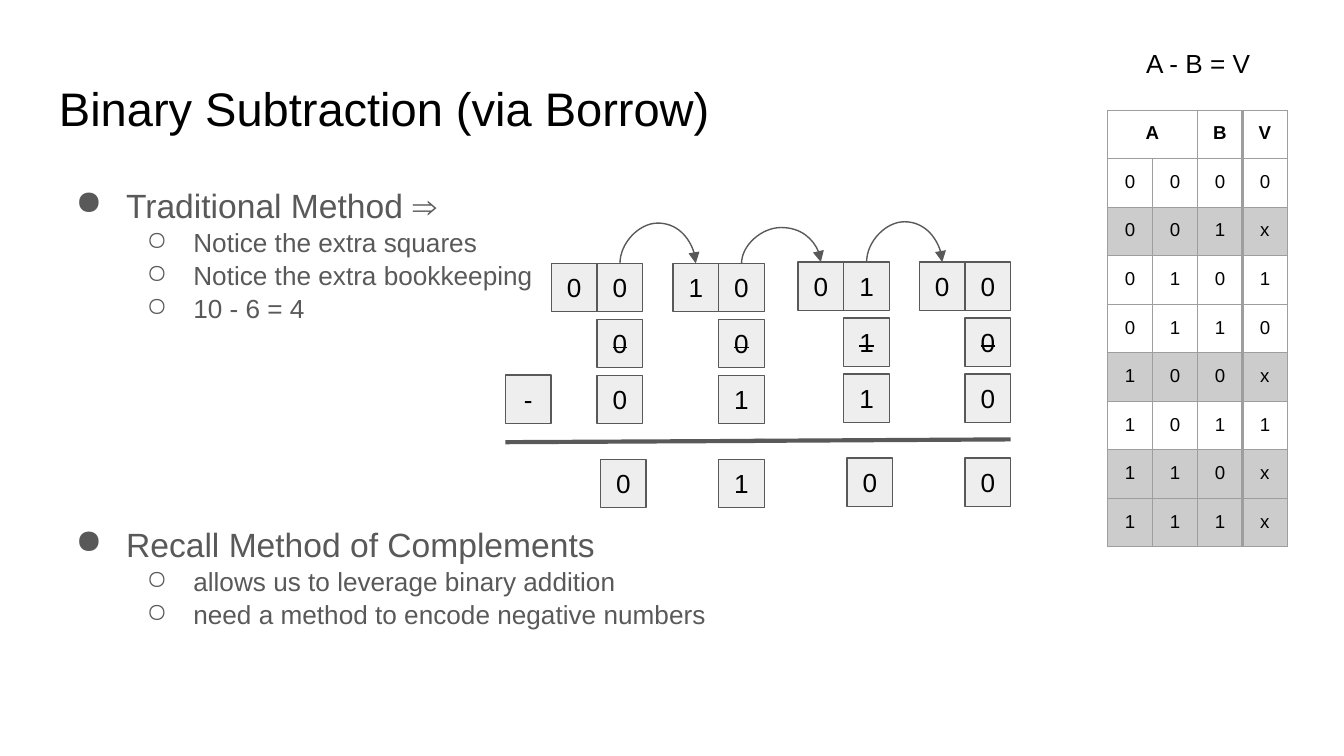
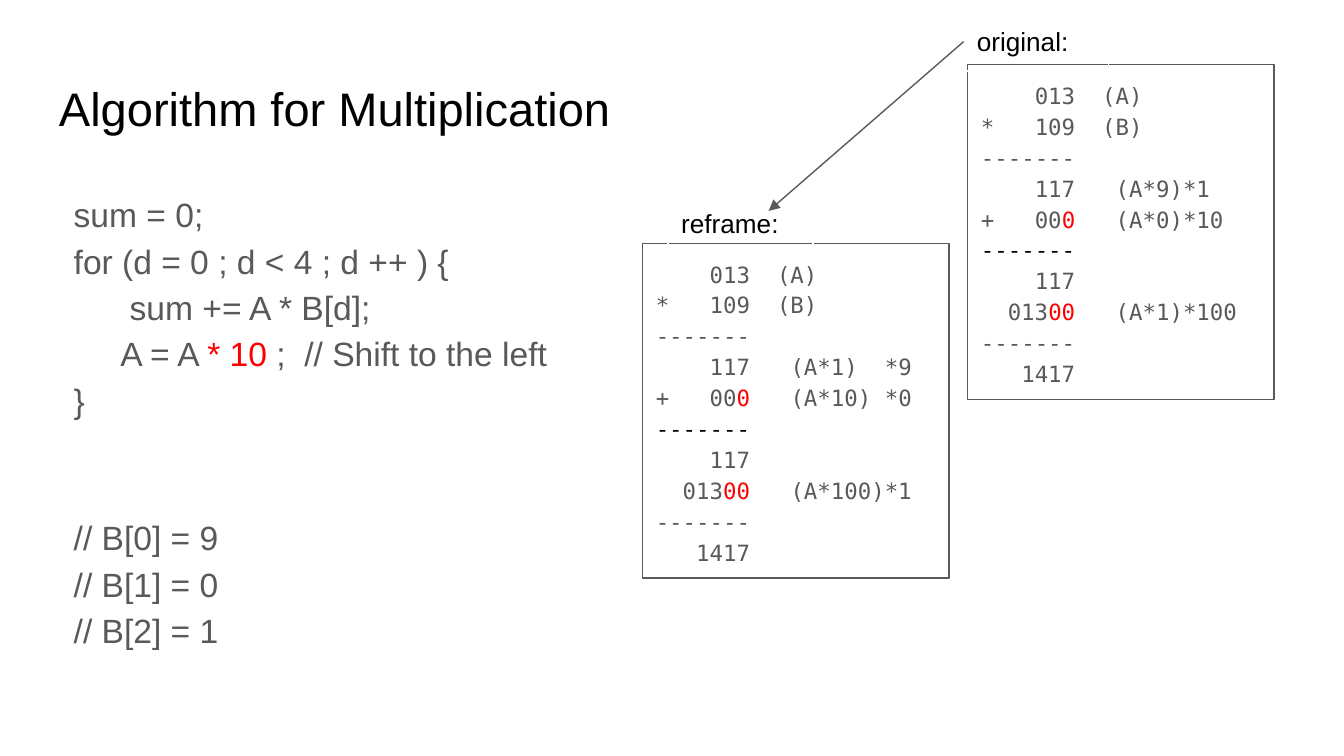
from lxml import etree
from pptx import Presentation
from pptx.dml.color import RGBColor
from pptx.enum.shapes import MSO_CONNECTOR, MSO_SHAPE
from pptx.enum.text import MSO_ANCHOR, PP_ALIGN
from pptx.oxml.ns import qn
from pptx.util import Pt

STRAIGHT, CURVE = MSO_CONNECTOR.STRAIGHT, MSO_CONNECTOR.CURVE
RECTANGLE = MSO_SHAPE.RECTANGLE
TOP, MIDDLE = MSO_ANCHOR.TOP, MSO_ANCHOR.MIDDLE
LEFT, CENTER = PP_ALIGN.LEFT, PP_ALIGN.CENTER

SANS, MONO = "Arial", "DejaVu Sans Mono"
BLACK, WHITE, GREY, RED = "000000", "FFFFFF", "595959", "FF0000"
CELL_FILL, INVALID_FILL, GRID = "EEEEEE", "CCCCCC", "9E9E9E"

INSET = 7.2
DIGIT_WIDTH, DIGIT_HEIGHT, ROW_PITCH = 24.5, 25.9, 30
RESULT_DROP = 105
ARCH = 19
MONO_ADVANCE = 7.22
DASHES = "-------"

BULLETS = [
    (0, "Traditional Method ⇒", 0),
    (1, "Notice the extra squares", 0),
    (1, "Notice the extra bookkeeping", 0),
    (1, "10 - 6 = 4", 0),
    (0, "Recall Method of Complements", 106),
    (1, "allows us to leverage binary addition", 0),
    (1, "need a method to encode negative numbers", 0),
]
BULLET_STYLES = [("●", 18, 36, -27), ("○", 14, 72, -25)]

# left, top, digits from the borrow row down, sideways shift of the result
DIGIT_COLUMNS = [
    (319.9, 141.1, "00000", 1.8),
    (385, 141.1, "10011", 0),
    (452, 140.4, "01110", 1.8),
    (517, 140.4, "00000", 0),
]
TRUTH_ROWS = ["0000", "001x", "0101", "0110", "100x", "1011", "110x", "111x"]

CODE = [
    ("sum = 0;", 0, 0),
    ("for (d = 0 ; d < 4 ; d ++ ) {", 0, 0),
    ("sum += A * B[d];", 30, 0),
    ("A = A |* 10| ;  // Shift to the left", 25, 0),
    ("}", 0, 0),
    ("// B[0] = 9", 0, 49),
    ("// B[1] = 0", 0, 0),
    ("// B[2] = 1", 0, 0),
]


def colour(code):
    """Turn a hex string into a colour."""
    return RGBColor.from_string(code)


def child(parent, tag, **attributes):
    """Append a drawing element to its parent."""
    return etree.SubElement(parent, qn(tag), attributes)


class Painter:
    """Hold the style and the current slide."""

    def __init__(self):
        """Open an empty deck."""
        self.deck = Presentation()
        self.deck.slide_width, self.deck.slide_height = Pt(720), Pt(405)
        self.page = None

    def start(self, title):
        """Add a page with its title."""
        self.page = self.deck.slides.add_slide(self.deck.slide_layouts[6])
        self.say(self.text_box(24.5, 35.3, 671, 45.4), title, 25.2)

    def frame(self, box, anchor=TOP):
        """Prepare the text frame of a box."""
        frame = box.text_frame
        frame.word_wrap = True
        frame.vertical_anchor = anchor
        frame.margin_left = frame.margin_right = Pt(INSET)
        frame.margin_top = frame.margin_bottom = Pt(INSET)
        return frame

    def text_box(self, *place):
        """Add a text box and return its frame."""
        return self.frame(self.page.shapes.add_textbox(*map(Pt, place)))

    def box(self, *place, line=GREY, fill=None):
        """Add an outlined rectangle."""
        box = self.page.shapes.add_shape(RECTANGLE, *map(Pt, place))
        box.shadow.inherit = False
        if fill:
            box.fill.solid()
            box.fill.fore_color.rgb = colour(fill)
        else:
            box.fill.background()
        box.line.color.rgb = colour(line)
        box.line.width = Pt(0.75)
        return box

    def say(self, frame, text, size, ink=BLACK, font=SANS, align=LEFT,
            spacing=None, bold=False, strike=False):
        """Write the next paragraph, with parts between bars in red."""
        para = frame.paragraphs[0]
        if para.runs:
            para = frame.add_paragraph()
        para.alignment = align
        if spacing:
            para.line_spacing = spacing
        for index, piece in enumerate(text.split("|")):
            if not piece:
                continue
            span = para.add_run()
            span.text = piece
            span.font.name, span.font.size, span.font.bold = font, Pt(size), bold
            span.font.color.rgb = colour(RED if index % 2 else ink)
            if strike:
                span._r.get_or_add_rPr().set("strike", "sngStrike")
        return para

    def bullet(self, frame, level, text, before):
        """Write a bulleted paragraph."""
        mark, size, margin, indent = BULLET_STYLES[level]
        para = self.say(frame, text, size, GREY, spacing=1.05)
        para.level = level
        para.space_before = Pt(before)
        props = para._p.get_or_add_pPr()
        props.set("marL", str(Pt(margin)))
        props.set("indent", str(Pt(indent)))
        child(child(props, "a:buClr"), "a:srgbClr", val=GREY)
        child(props, "a:buChar", char=mark)

    def digit(self, text, left, top, strike=False):
        """Add a square with one digit."""
        box = self.box(left, top, DIGIT_WIDTH, DIGIT_HEIGHT, fill=CELL_FILL)
        self.say(self.frame(box, MIDDLE), text, 14, align=CENTER, strike=strike)

    def line(self, *ends, kind=STRAIGHT, width=0.75, arrow=False):
        """Add a connector."""
        line = self.page.shapes.add_connector(kind, *map(Pt, ends))
        line.line.color.rgb = colour(GREY)
        line.line.width = Pt(width)
        if arrow:
            child(line.line._get_or_add_ln(), "a:tailEnd", type="triangle")
        child(line._element.spPr, "a:effectLst")
        return line

    def arc(self, start_x, start_y, end_x, end_y):
        """Add a curved arrow that rises over both its ends."""
        rise = start_y - end_y or -0.05
        reach = end_x - start_x
        middle_x, middle_y = (start_x + end_x) / 2, (start_y + end_y) / 2
        arc = self.line(middle_x - rise / 2, middle_y - reach / 2,
                        middle_x + rise / 2, middle_y + reach / 2,
                        kind=CURVE, arrow=True)
        arc._element.spPr.find(qn("a:xfrm")).set("rot", "16200000")
        guides = arc._element.spPr.find(qn("a:prstGeom")).find(qn("a:avLst"))
        child(guides, "a:gd", name="adj1", fmla=f"val {round(ARCH / rise * 100000)}")

    def table_cell(self, cell, text, fill, bold, thick_side):
        """Fill and frame one table cell."""
        cell.margin_left = cell.margin_right = Pt(7)
        cell.margin_top = cell.margin_bottom = Pt(7)
        self.say(cell.text_frame, text, 10, align=CENTER, bold=bold)
        props = cell._tc.get_or_add_tcPr()
        for side in "LRTB":
            width = 1.5 if side == thick_side else 0.75
            edge = child(props, f"a:ln{side}", w=str(Pt(width)))
            child(child(edge, "a:solidFill"), "a:srgbClr", val=GRID)
        if fill:
            cell.fill.solid()
            cell.fill.fore_color.rgb = colour(fill)
        else:
            cell.fill.background()

    def truth_table(self, left, top, column_width, row_height):
        """Add the truth table, with invalid rows shaded."""
        rows = [["A", "", "B", "V"]] + [list(row) for row in TRUTH_ROWS]
        table = self.page.shapes.add_table(
            len(rows), 4, Pt(left), Pt(top),
            Pt(4 * column_width), Pt(len(rows) * row_height)).table
        table.first_row = table.horz_banding = False
        for column in table.columns:
            column.width = Pt(column_width)
        for index, values in enumerate(rows):
            table.rows[index].height = Pt(row_height)
            fill = INVALID_FILL if values[3] == "x" else None
            for value, cell, thick in zip(values, table.rows[index].cells, "  RL"):
                self.table_cell(cell, value, fill, index == 0, thick)
        table.cell(0, 0).merge(table.cell(0, 1))

    def worksheet(self, left, top, labels):
        """Add a framed long multiplication, aligned on tab stops."""
        frame = self.frame(self.box(left, top, 164.2, 179.3))
        first, second, third = labels
        rows = ["\t013\t(A)", "*\t109\t(B)", DASHES, f"\t117\t{first}",
                f"+\t00|0|\t{second}", DASHES, "\t117",
                f"\t013|00|\t{third}", DASHES, "\t1417"]
        for index, row in enumerate(rows):
            ink = BLACK if index == 5 else GREY
            para = self.say(frame, row, 12, ink, MONO, spacing=1.15)
            stops = child(para._p.get_or_add_pPr(), "a:tabLst")
            label_stop = 9 if index < 2 else 10
            for column, side in ((7, "r"), (label_stop, "l"), (17, "l")):
                child(stops, "a:tab", pos=str(Pt(column * MONO_ADVANCE)), algn=side)

    def label(self, text, left, top):
        """Add a caption with a white outline."""
        box = self.box(left, top, 77.8, 31.7, line=WHITE)
        self.say(self.frame(box), text, 14)
        return box


def subtraction(painter):
    """Build the subtraction page."""
    painter.start("Binary Subtraction (via Borrow)")
    body = painter.text_box(24.5, 90.7, 671, 269.3)
    for level, text, before in BULLETS:
        painter.bullet(body, level, text, before)
    painter.say(painter.text_box(581.8, 18, 120.2, 31.7), "A - B = V", 14, align=CENTER)

    for left, top, digits, shift in DIGIT_COLUMNS:
        places = [(left - DIGIT_WIDTH, top), (left, top), (left, top + ROW_PITCH),
                  (left, top + 2 * ROW_PITCH), (left + shift, top + RESULT_DROP)]
        values = digits[0] + digits[1] + digits[2:]
        for index, (value, place) in enumerate(zip(values, places)):
            painter.digit(value, *place, strike=index == 2)
    painter.digit("-", 270.7, 200.9)

    half = DIGIT_WIDTH / 2
    for column, following in zip(DIGIT_COLUMNS, DIGIT_COLUMNS[1:]):
        painter.arc(column[0] + half, column[1], following[0] - half, following[1])
    painter.line(270.7, 236.9, 409.7, 236.2, width=2.25)
    painter.line(402.5, 236.2, 541.4, 235.4, width=2.25)
    painter.truth_table(593.3, 59, 24.1, 25.6)


def multiplication(painter):
    """Build the multiplication page."""
    painter.start("Algorithm for Multiplication")
    body = painter.text_box(32.4, 93.6, 671, 269.3)
    for text, indent, before in CODE:
        para = painter.say(body, text, 18, GREY, spacing=1.15)
        para.space_before = Pt(before)
        para._p.get_or_add_pPr().set("marL", str(Pt(indent)))
    painter.worksheet(518.4, 34.6, ["(A*9)*1", "(A*0)*10", "(A*1)*100"])
    painter.worksheet(344.2, 130.3, ["(A*1)\t*9", "(A*10)\t*0", "(A*100)*1"])
    painter.label("reframe:", 357.8, 103.7)
    source = painter.label("original:", 516.2, 6.5)
    arrow = painter.line(516.2, 22.3, 411.8, 113, arrow=True)
    arrow.begin_connect(source, 1)


def main():
    """Build and save the deck."""
    painter = Painter()
    subtraction(painter)
    multiplication(painter)
    painter.deck.save("out.pptx")


if __name__ == "__main__":
    main()
